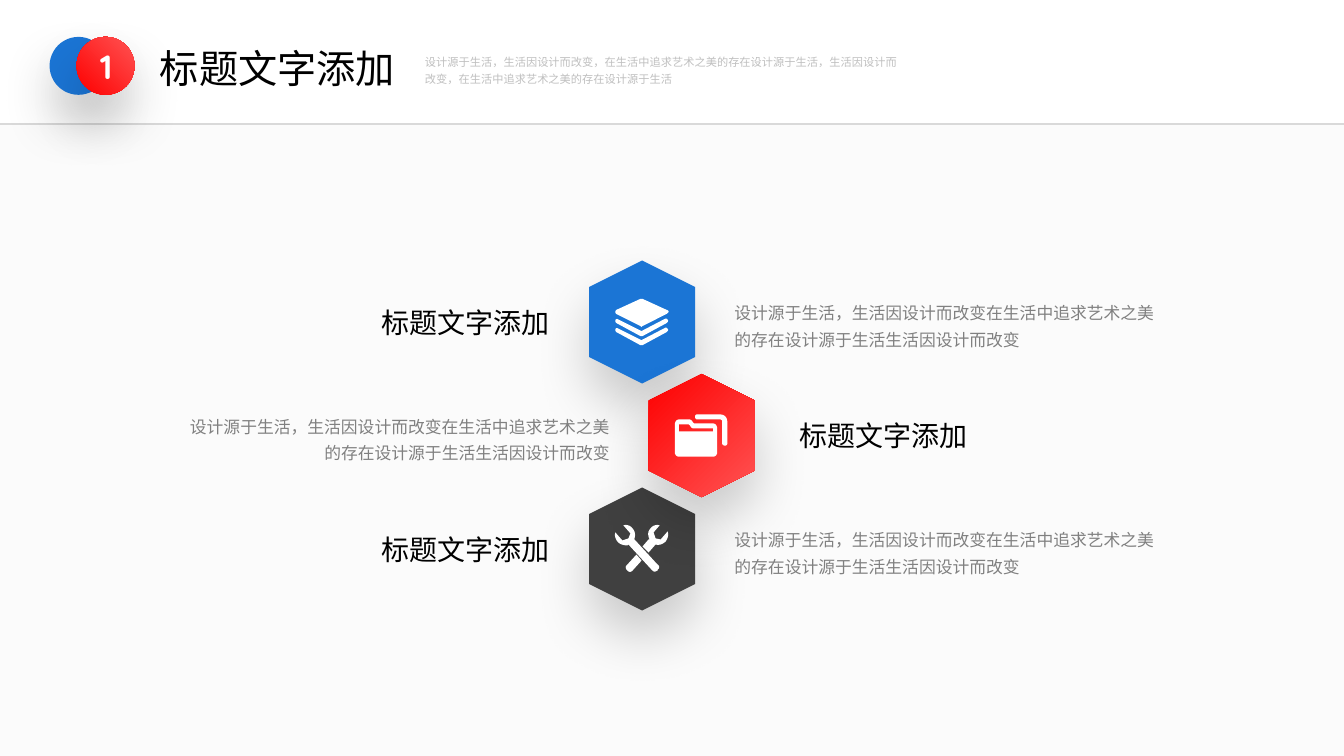
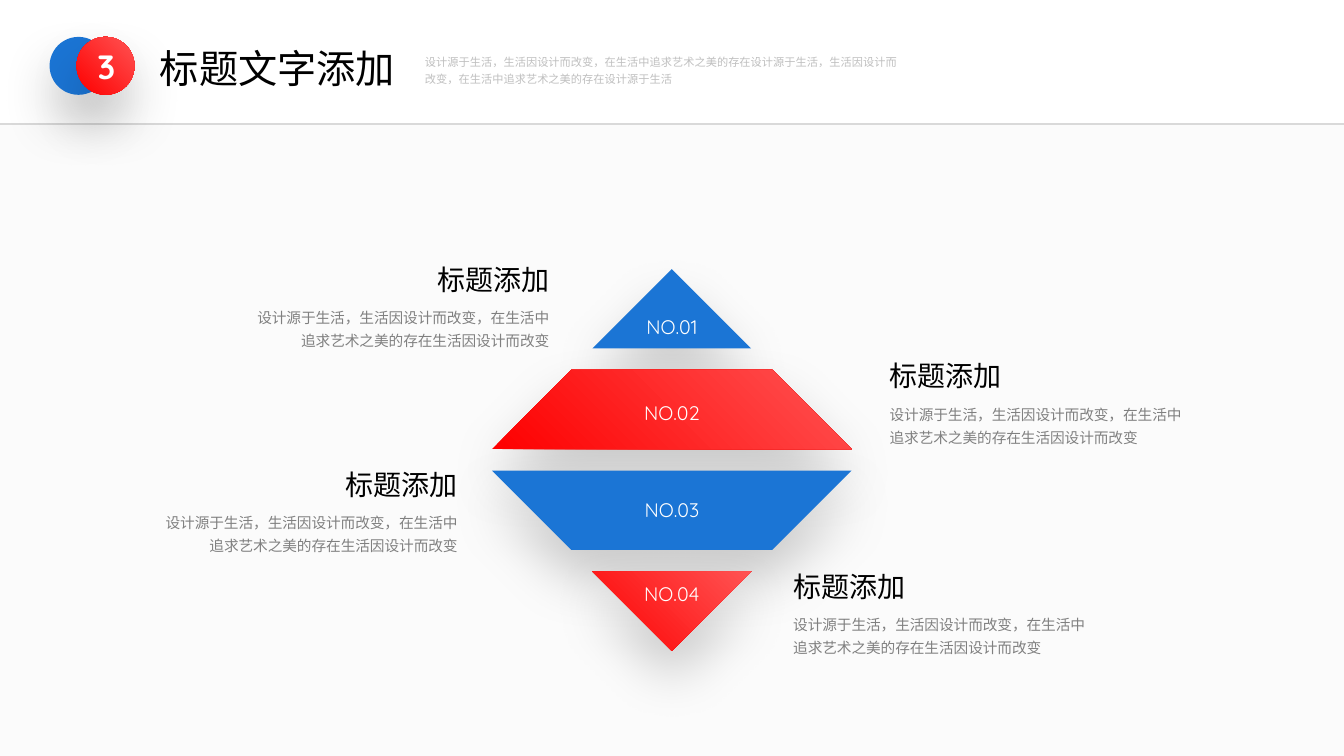
from dataclasses import dataclass

from lxml.etree import SubElement
from pptx import Presentation
from pptx.dml.color import RGBColor
from pptx.enum.shapes import MSO_CONNECTOR, MSO_SHAPE
from pptx.enum.text import MSO_AUTO_SIZE, PP_ALIGN
from pptx.oxml.ns import qn
from pptx.util import Cm, Pt


@dataclass(frozen=True)
class Theme:
    blue: str = "1B75D5"
    dark: str = "404040"
    red: tuple = ("FE0000", "FF5353")
    white: str = "FFFFFF"
    black: str = "000000"
    panel: str = "FBFBFB"
    rule: str = "D9D9D9"
    body: str = "808080"
    faint: str = "BFBFBF"
    heading_font: str = "Noto Sans CJK SC"
    body_font: str = "Quicksand"
    title_size: float = 28
    number_size: float = 24
    heading_size: float = 20
    label_size: float = 14
    body_size: float = 12
    caption_size: float = 10.5
    intro_size: float = 8
    line_spacing: float = 1.3


THEME = Theme()
WIDTH, HEIGHT = 33.87, 19.05
HEADER_HEIGHT = 3.12
LEFT, RIGHT, CENTER = PP_ALIGN.LEFT, PP_ALIGN.RIGHT, PP_ALIGN.CENTER

TITLE = "标题文字添加"
INTRO = ("设计源于生活，生活因设计而改变，在生活中追求艺术之美的存在设计源于生活，"
         "生活因设计而改变，在生活中追求艺术之美的存在设计源于生活")
ROW_TEXT = "设计源于生活，生活因设计而改变在生活中追求艺术之美的存在设计源于生活生活因设计而改变"
CAPTION_TITLE = "标题添加"
CAPTION_TEXT = "设计源于生活，生活因设计而改变，在生活中追求艺术之美的存在生活因设计而改变"


# Icons: closed contours; two numbers draw a line, six a Bézier curve
def chevron(top):
    """One folded sheet edge of the layers icon."""
    return [(2, top), (26, top + 12), (49, top),
            (50, top - 1, 52, top, 52, top + 1),
            (53, top + 2, 52, top + 3, 51, top + 4),
            (27, top + 17), (25, top + 17), (1, top + 4),
            (0, top + 3, 0, top + 2, 0, top + 1), (1, top, 1, top, 2, top)]


LAYERS = (53, 46, [
    [(25, 0), (27, 0), (51, 11), (52, 11, 53, 12, 53, 13),
     (53, 13, 52, 14, 51, 15), (27, 27), (26, 28), (25, 27), (1, 15),
     (0, 14, 0, 13, 0, 13), (0, 12, 1, 11, 1, 11)],
    chevron(20), chevron(29)])
FOLDERS = (53, 42, [
    [(4, 10), (4, 17), (38, 17), (38, 14), (19, 14),
     (17, 14, 16, 13, 15, 11), (14, 10)],
    [(4, 5), (14, 5), (16, 5, 17, 6, 18, 8), (19, 9), (38, 9),
     (40, 9, 42, 11, 42, 14), (42, 38), (42, 40, 40, 42, 38, 42), (4, 42),
     (2, 42, 0, 40, 0, 38), (0, 10), (0, 7, 2, 5, 4, 5)],
    [(22, 0), (45, 0), (49, 0, 52, 3, 52, 7), (52, 29),
     (52, 30, 51, 31, 50, 31), (48, 31, 47, 30, 47, 29), (47, 7),
     (47, 6, 46, 5, 45, 5), (22, 5), (21, 5, 20, 4, 20, 2),
     (20, 1, 21, 0, 22, 0)]])
WRENCHES = (53, 47, [
    [(21, 29), (26, 35), (17, 45), (16, 46, 14, 47, 12, 45),
     (10, 43, 10, 41, 11, 40)],
    [(8, 0), (11, -1, 15, 0, 17, 3), (20, 6, 20, 10, 19, 13), (19, 14),
     (42, 39), (44, 40, 44, 43, 42, 44), (42, 45), (41, 45, 40, 46, 39, 46),
     (38, 46, 37, 45, 36, 44), (13, 19), (12, 20), (9, 20, 5, 19, 3, 17),
     (0, 14, -1, 10, 0, 7), (7, 15), (13, 13), (15, 8)],
    [(44, 0), (38, 7), (40, 13), (45, 14), (52, 6), (53, 10, 52, 13, 50, 16),
     (47, 19, 43, 20, 40, 19), (33, 27), (27, 21), (33, 14), (34, 14),
     (32, 10, 32, 6, 35, 3), (37, 0, 41, -1, 44, 0)]])


# Drawing helpers
def rgb(color):
    return RGBColor.from_string(color)


def paint(shape, color, shadow=False):
    """Fill with one colour, or with a gradient when given a pair."""
    shape.shadow.inherit = False
    shape.line.fill.background()
    if isinstance(color, tuple):
        shape.fill.gradient()
        shape.fill.gradient_angle = 45
        for stop, stop_color in zip(shape.fill.gradient_stops, color):
            stop.color.rgb = rgb(stop_color)
    else:
        shape.fill.solid()
        shape.fill.fore_color.rgb = rgb(color)
    if shadow:
        effects = shape._element.spPr.find(qn("a:effectLst"))
        outer = SubElement(effects, qn("a:outerShdw"), blurRad=str(Pt(40)),
                           dist=str(Pt(20)), dir="5400000", algn="t",
                           rotWithShape="0")
        tint = SubElement(outer, qn("a:srgbClr"), val=THEME.black)
        SubElement(tint, qn("a:alpha"), val="20000")
    return shape


def add_preset(slide, preset, box, color, shadow=False):
    shape = slide.shapes.add_shape(preset, *map(Cm, box))
    return paint(shape, color, shadow)


def add_text(slide, text, box, *, size, color, font=THEME.body_font,
             align=LEFT, bold=False, wrap=True, spacing=None):
    frame = slide.shapes.add_textbox(*map(Cm, box)).text_frame
    frame.word_wrap = wrap
    frame.auto_size = MSO_AUTO_SIZE.SHAPE_TO_FIT_TEXT
    paragraph = frame.paragraphs[0]
    paragraph.alignment = align
    if spacing:
        paragraph.line_spacing = spacing
    run = paragraph.add_run()
    run.text = text
    run.font.size = Pt(size)
    run.font.bold = bold
    run.font.name = font
    run.font.color.rgb = rgb(color)
    SubElement(run._r.get_or_add_rPr(), qn("a:ea"),
               typeface=THEME.heading_font)


def add_heading(slide, text, box, size=THEME.heading_size, align=LEFT):
    add_text(slide, text, box, size=size, color=THEME.black,
             font=THEME.heading_font, align=align, wrap=False)


def add_body(slide, text, box, size, color=THEME.body, align=LEFT):
    add_text(slide, text, box, size=size, color=color, align=align,
             spacing=THEME.line_spacing)


def add_outline(slide, contours, color, shadow=False):
    """Draw closed polygons, given in cm on the slide, as one freeform."""
    builder = None
    for contour in contours:
        start, *others = [(Cm(x), Cm(y)) for x, y in contour]
        if builder is None:
            builder = slide.shapes.build_freeform(*start)
        else:
            builder.move_to(*start)
        builder.add_line_segments(others, close=True)
    return paint(builder.convert_to_shape(), color, shadow)


def flatten(contour, steps=6):
    """Turn a contour with curves into plain points."""
    points = []
    for segment in contour:
        if len(segment) == 2:
            points.append(segment)
            continue
        x0, y0 = points[-1]
        x1, y1, x2, y2, x3, y3 = segment
        for step in range(1, steps + 1):
            t = step / steps
            a, b, c, d = (1 - t)**3, 3*t*(1 - t)**2, 3*t*t*(1 - t), t**3
            points.append((a*x0 + b*x1 + c*x2 + d*x3,
                           a*y0 + b*y1 + c*y2 + d*y3))
    return points


def add_icon(slide, icon, box):
    """Centre an icon in the box, at 0.0254 cm a unit."""
    unit = 0.0254
    icon_width, icon_height, contours = icon
    left, top, width, height = box
    left += (width - icon_width * unit) / 2
    top += (height - icon_height * unit) / 2
    add_outline(slide, [[(left + x * unit, top + y * unit)
                         for x, y in flatten(contour)]
                        for contour in contours], THEME.white)


# Shared slide parts
def add_backdrop(slide):
    add_preset(slide, MSO_SHAPE.RECTANGLE,
               (0, HEADER_HEIGHT, WIDTH, HEIGHT - HEADER_HEIGHT), THEME.panel)
    rule = slide.shapes.add_connector(
        MSO_CONNECTOR.STRAIGHT, 0, Cm(HEADER_HEIGHT), Cm(WIDTH),
        Cm(HEADER_HEIGHT))
    rule.line.color.rgb = rgb(THEME.rule)
    rule.line.width = Pt(1.5)
    SubElement(rule._element.spPr, qn("a:effectLst"))


def add_header(slide, number, left=1.25, top=0.93):
    disc = 1.46
    for offset, color in ((0, THEME.blue), (0.68, THEME.red)):
        add_preset(slide, MSO_SHAPE.OVAL, (left + offset, top, disc, disc),
                   color, shadow=True)
    add_heading(slide, TITLE, (left + 2.53, top + 0.06, 6.5, 1.45),
                size=THEME.title_size)
    add_body(slide, INTRO, (left + 9.21, top + 0.24, 12.47, 1.09),
             THEME.intro_size, color=THEME.faint)
    add_text(slide, number, (left + 0.93, top + 0.09, 1, 1.27),
             size=THEME.number_size, color=THEME.white, align=CENTER,
             bold=True, wrap=False)


def new_slide(deck, number):
    slide = deck.slides.add_slide(deck.slide_layouts[6])
    add_backdrop(slide)
    add_header(slide, number)
    return slide


# Slide with three hexagons
def add_hexagon_rows(slide, top=6.78, pitch=2.86):
    hexagon_width, hexagon_height = 3.1, 2.67
    # row, hexagon left, title left, text left, text side, colour, icon
    rows = (
        (0, 14.63, 9.37, 18.26, LEFT, THEME.blue, LAYERS),
        (2, 14.63, 9.37, 18.26, LEFT, THEME.dark, WRENCHES),
        (1, 16.13, 19.89, 4.29, RIGHT, THEME.red, FOLDERS),
    )
    boxes = [(row[1], top + row[0] * pitch, hexagon_width, hexagon_height)
             for row in rows]
    for box, row in zip(boxes, rows):
        hexagon = add_preset(slide, MSO_SHAPE.HEXAGON, box, row[5],
                             shadow=True)
        hexagon.rotation = 90
    for box, (_, _, title_left, text_left, side, _, icon) in zip(boxes, rows):
        add_icon(slide, icon, box)
        add_heading(slide, TITLE, (title_left, box[1] + 0.79, 4.78, 1.11))
        add_body(slide, ROW_TEXT, (text_left, box[1] + 0.58, 11.33, 1.52),
                 THEME.body_size, align=side)


# Slide with a four-tier diamond
def add_diamond(slide, center=16.93, top=6.78, tier_height=2, pitch=2.54):
    # half width above, half width below, colour, label offset
    tiers = (
        (0, 2, THEME.blue, 1.02),
        (2.53, 4.53, THEME.red, 0.66),
        (4.53, 2.53, THEME.blue, 0.56),
        (2, 0, THEME.red, 0.15),
    )
    for index, (upper, lower, color, _) in enumerate(tiers):
        y = top + index * pitch
        base = y + tier_height
        corners = [(center - upper, y), (center + upper, y),
                   (center + lower, base), (center - lower, base)]
        add_outline(slide, [dict.fromkeys(corners)], color, shadow=True)
    for index, (_, _, _, offset) in enumerate(tiers):
        add_text(slide, f"NO.0{index + 1}",
                 (center - 1.24, top + index * pitch + offset, 2.49, 0.86),
                 size=THEME.label_size, color=THEME.white, align=CENTER)


def add_caption(slide, edge, top, side):
    """Heading over text, aligned to the given left or right edge."""
    heading_width, text_width = 3.35, 8.15
    shift = 1 if side == RIGHT else 0
    add_heading(slide, CAPTION_TITLE,
                (edge - shift * heading_width, top, heading_width, 1.11),
                align=side)
    add_body(slide, CAPTION_TEXT,
             (edge - shift * text_width, top + 1.04, text_width, 1.42),
             THEME.caption_size, align=side)


def main():
    deck = Presentation()
    deck.slide_width, deck.slide_height = Cm(WIDTH), Cm(HEIGHT)

    add_hexagon_rows(new_slide(deck, "1"))

    diamond_slide = new_slide(deck, "3")
    add_diamond(diamond_slide)
    for edge, top, side in ((14.1, 6.48, RIGHT), (22.17, 8.92, LEFT),
                            (11.79, 11.66, RIGHT), (19.74, 14.22, LEFT)):
        add_caption(diamond_slide, edge, top, side)

    deck.save("out.pptx")


if __name__ == "__main__":
    main()
